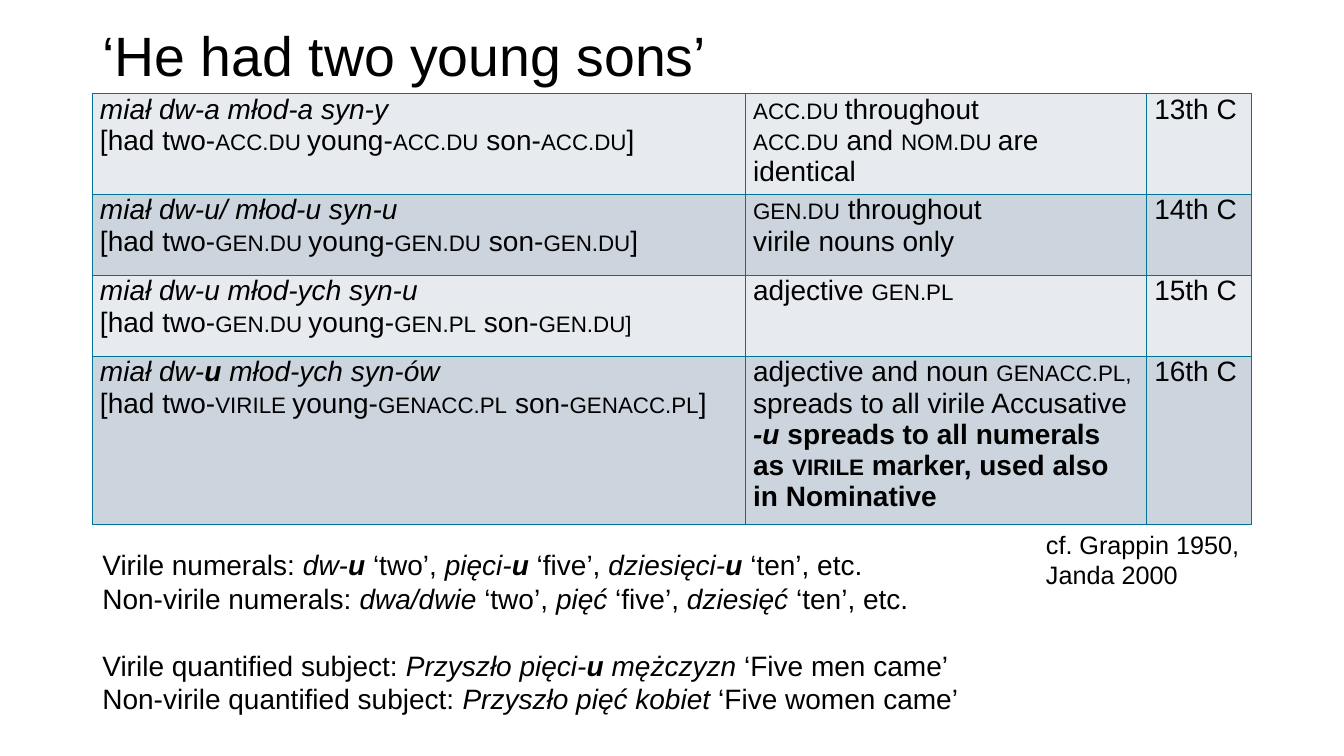
from lxml import etree
from pptx import Presentation
from pptx.dml.color import RGBColor
from pptx.enum.text import MSO_ANCHOR as Anchor
from pptx.oxml.ns import qn
from pptx.util import Cm, Pt

COLORS = {"text": "000000", "border": "007396", "light": "E7EBEF", "dark": "CCD5DD"}
FONT = "Arial"

TITLE = [[("‘He had two young sons’", "")]]

# Run styles: i italic, b bold, s small capitals
STAGES = [
    (
        [
            [("miał dw-a młod-a syn-y", "i")],
            [("[had two-", ""), ("acc.du ", "s"), ("young-", ""), ("acc.du", "s"),
             (" son-", ""), ("acc.du", "s"), ("]", "")],
        ],
        [
            [("acc.du ", "s"), ("throughout", "")],
            [("acc.du", "s"), (" and ", ""), ("nom.du ", "s"), ("are identical", "")],
        ],
        [[("13th C", "")]],
    ),
    (
        [
            [("miał dw-u/ młod-u syn-u", "i")],
            [("[had two-", ""), ("gen.du ", "s"), ("young-", ""), ("gen.du", "s"),
             (" son-", ""), ("gen.du", "s"), ("]", "")],
        ],
        [
            [("gen.du", "s"), (" throughout", "")],
            [("virile nouns only", "")],
        ],
        [[("14th C", "")]],
    ),
    (
        [
            [("miał dw-u młod-ych syn-u", "i")],
            [("[had two-", ""), ("gen.du ", "s"), ("young-", ""), ("gen.pl", "s"),
             (" son-", ""), ("gen.du]", "s")],
        ],
        [[("adjective ", ""), ("gen.pl", "s")]],
        [[("15th C", "")]],
    ),
    (
        [
            [("miał dw-", "i"), ("u ", "bi"), ("młod-ych syn-ów", "i")],
            [("[had two-", ""), ("virile ", "s"), ("young-", ""), ("genacc.pl", "s"),
             (" son-", ""), ("genacc.pl", "s"), ("]", "")],
        ],
        [
            [("adjective and noun ", ""), ("genacc.pl, ", "s"),
             ("spreads to all virile Accusative", "")],
            [("-u ", "bi"), ("spreads to all numerals as ", "b"), ("virile", "bs"),
             (" marker, used also in Nominative", "b")],
        ],
        [[("16th C", "")]],
    ),
]

NUMERALS = [
    [("Virile numerals: ", ""), ("dw-", "i"), ("u", "bi"), (" ‘two’, ", ""),
     ("pięci-", "i"), ("u", "bi"), (" ‘five’, ", ""),
     ("dziesięci-", "i"), ("u", "bi"), (" ‘ten’, etc.", "")],
    [("Non-virile numerals: ", ""), ("dwa/dwie", "i"), (" ‘two’, ", ""),
     ("pięć", "i"), (" ‘five’, ", ""), ("dziesięć ", "i"), ("‘ten’, etc.", "")],
    [("Virile quantified subject: ", ""), ("Przyszło pięci-", "i"), ("u", "bi"),
     (" mężczyzn", "i"), (" ‘Five men came’", "")],
    [("Non-virile quantified subject: ", ""), ("Przyszło pięć kobiet ", "i"),
     ("‘Five women came’", "")],
]
SUBJECT_LINE = 2

SOURCES = [[("cf. Grappin 1950,", "")], [("Janda 2000", "")]]

LEFT = Cm(2.33)
COLUMN_WIDTHS = [Cm(16.46), Cm(10.11), Cm(2.64)]
ROW_HEIGHTS = [Cm(2.04), Cm(2.04), Cm(2.04), Cm(3.05)]


def write(frame, lines, size):
    for index, runs in enumerate(lines):
        paragraph = frame.paragraphs[0] if index == 0 else frame.add_paragraph()
        paragraph.font.name = FONT
        paragraph.font.size = Pt(size)
        paragraph.font.color.rgb = RGBColor.from_string(COLORS["text"])
        for text, style in runs:
            run = paragraph.add_run()
            run.text = text
            if "i" in style:
                run.font.italic = True
            if "b" in style:
                run.font.bold = True
            if "s" in style:
                run._r.get_or_add_rPr().set("cap", "small")


def add_text(slide, box, lines, size, wrap=True):
    frame = slide.shapes.add_textbox(*box).text_frame
    frame.word_wrap = wrap
    write(frame, lines, size)
    return frame


def set_borders(cell):
    properties = cell._tc.get_or_add_tcPr()
    for index, side in enumerate(("lnL", "lnR", "lnT", "lnB")):
        line = etree.Element(qn(f"a:{side}"), w=str(Pt(1)))
        fill = etree.SubElement(line, qn("a:solidFill"))
        etree.SubElement(fill, qn("a:srgbClr"), val=COLORS["border"])
        properties.insert(index, line)


def add_stages(slide):
    table = slide.shapes.add_table(
        len(STAGES), len(COLUMN_WIDTHS), LEFT, Cm(2.36),
        sum(COLUMN_WIDTHS), sum(ROW_HEIGHTS)).table
    for column, width in zip(table.columns, COLUMN_WIDTHS):
        column.width = width
    for index, (row, height) in enumerate(zip(table.rows, ROW_HEIGHTS)):
        row.height = height
        shade = COLORS["dark" if index % 2 else "light"]
        for cell, lines in zip(row.cells, STAGES[index]):
            cell.margin_left = cell.margin_right = Cm(0.19)
            cell.margin_top = cell.margin_bottom = 0
            cell.fill.solid()
            cell.fill.fore_color.rgb = RGBColor.from_string(shade)
            set_borders(cell)
            write(cell.text_frame, lines, 20)


def main():
    presentation = Presentation()
    presentation.slide_width, presentation.slide_height = Cm(33.87), Cm(19.05)
    slide = presentation.slides.add_slide(presentation.slide_layouts[6])

    title = add_text(slide, (LEFT, Cm(1.02), Cm(29.21), Cm(0.89)), TITLE, 39.6)
    title.vertical_anchor = Anchor.MIDDLE
    title.paragraphs[0].line_spacing = 0.9

    add_stages(slide)

    numerals = add_text(slide, (LEFT, Cm(13.67), Cm(23.55), Cm(4.52)), NUMERALS, 20)
    numerals.paragraphs[SUBJECT_LINE].space_before = Pt(24)

    add_text(slide, (Cm(26.11), Cm(13.21), Cm(5.44), Cm(1.8)), SOURCES, 18, wrap=False)
    presentation.save("out.pptx")


if __name__ == "__main__":
    main()
